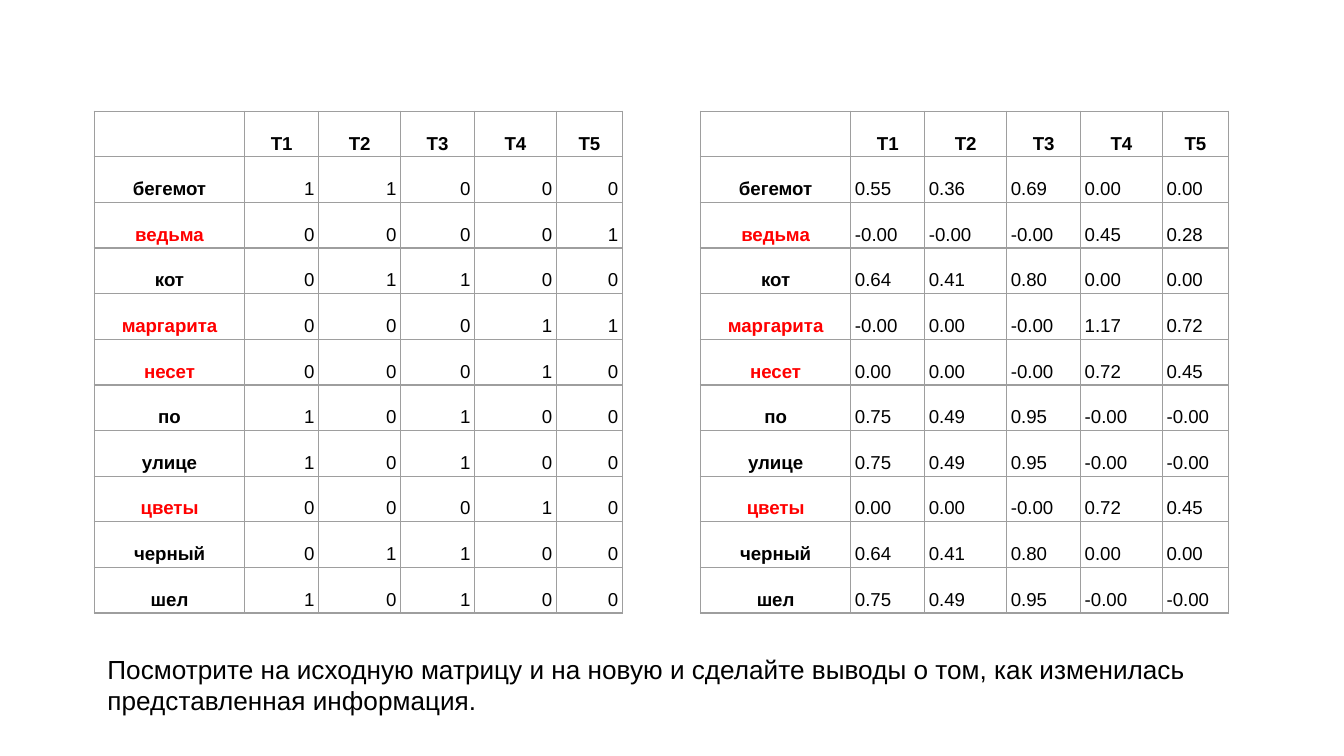
from lxml import etree
from pptx import Presentation
from pptx.dml.color import RGBColor
from pptx.enum.text import MSO_ANCHOR, PP_ALIGN
from pptx.oxml.ns import qn
from pptx.util import Pt

LEFT, CENTER, RIGHT = PP_ALIGN.LEFT, PP_ALIGN.CENTER, PP_ALIGN.RIGHT
TOP, BOTTOM = MSO_ANCHOR.TOP, MSO_ANCHOR.BOTTOM
FONT = "Arial"
BLACK, RED, WHITE, GREY = "000000", "FF0000", "FFFFFF", "9E9E9E"

COLUMN_WIDTHS = [80.6, 39.6, 43.9, 39.6, 43.9, 35.3]
HEADERS = ["", "T1", "T2", "T3", "T4", "T5"]
TERMS = ["бегемот", "ведьма", "кот", "маргарита", "несет",
         "по", "улице", "цветы", "черный", "шел"]
RED_TERMS = {"ведьма", "маргарита", "несет", "цветы"}
SOURCE_MATRIX = ["1 1 0 0 0", "0 0 0 0 1", "0 1 1 0 0", "0 0 0 1 1", "0 0 0 1 0",
                 "1 0 1 0 0", "1 0 1 0 0", "0 0 0 1 0", "0 1 1 0 0", "1 0 1 0 0"]
NEW_MATRIX = [
    "0.55 0.36 0.69 0.00 0.00",
    "-0.00 -0.00 -0.00 0.45 0.28",
    "0.64 0.41 0.80 0.00 0.00",
    "-0.00 0.00 -0.00 1.17 0.72",
    "0.00 0.00 -0.00 0.72 0.45",
    "0.75 0.49 0.95 -0.00 -0.00",
    "0.75 0.49 0.95 -0.00 -0.00",
    "0.00 0.00 -0.00 0.72 0.45",
    "0.64 0.41 0.80 0.00 0.00",
    "0.75 0.49 0.95 -0.00 -0.00",
]
QUESTION = ("Посмотрите на исходную матрицу и на новую и сделайте выводы о том, "
            "как изменилась представленная информация.")


def color(value):
    """Turn a hex string into a colour."""
    return RGBColor.from_string(value)


def write_text(text_frame, text, size=10, ink=BLACK, bold=False, align=LEFT, spacing=1.0):
    """Write one formatted paragraph into a text frame."""
    paragraph = text_frame.paragraphs[0]
    paragraph.alignment = align
    paragraph.line_spacing = spacing
    run = paragraph.add_run()
    run.text = text
    run.font.name = FONT
    run.font.size = Pt(size)
    run.font.bold = bold
    run.font.color.rgb = color(ink)


def style_cell(cell):
    """Give a cell its margins, anchor, thin grey borders and fill."""
    cell.margin_left = cell.margin_right = Pt(2.25)
    cell.margin_top = cell.margin_bottom = Pt(1.5)
    cell.vertical_anchor = BOTTOM
    properties = cell._tc.get_or_add_tcPr()
    for side in ("lnL", "lnR", "lnT", "lnB"):
        line = etree.SubElement(properties, qn(f"a:{side}"), w=str(Pt(0.75)))
        fill = etree.SubElement(line, qn("a:solidFill"))
        etree.SubElement(fill, qn("a:srgbClr"), val=GREY)
    cell.fill.solid()
    cell.fill.fore_color.rgb = color(WHITE)


def add_matrix(slide, left, top, width, height, matrix, align):
    """Add a term-by-text matrix as a table."""
    rows = [HEADERS] + [[term, *values.split()] for term, values in zip(TERMS, matrix)]
    table = slide.shapes.add_table(len(rows), len(HEADERS), Pt(left), Pt(top),
                                   Pt(width), Pt(height)).table
    table.first_row = table.horz_banding = False
    for column, column_width in zip(table.columns, COLUMN_WIDTHS):
        column.width = Pt(column_width * width / sum(COLUMN_WIDTHS))
    for row_index, values in enumerate(rows):
        table.rows[row_index].height = Pt(height / len(rows))
        for column_index, value in enumerate(values):
            cell = table.cell(row_index, column_index)
            style_cell(cell)
            label = row_index == 0 or column_index == 0
            write_text(cell.text_frame, value, bold=label, spacing=1.15,
                       ink=RED if value in RED_TERMS else BLACK,
                       align=CENTER if label else align)


def add_question(slide, left, top, width, height):
    """Add the question below the matrices."""
    text_frame = slide.shapes.add_textbox(Pt(left), Pt(top), Pt(width), Pt(height)).text_frame
    text_frame.word_wrap = True
    text_frame.vertical_anchor = TOP
    text_frame.margin_left = text_frame.margin_right = Pt(7.2)
    text_frame.margin_top = text_frame.margin_bottom = Pt(7.2)
    write_text(text_frame, QUESTION, size=14)


def main():
    """Build and save the presentation."""
    presentation = Presentation()
    presentation.slide_width, presentation.slide_height = Pt(720), Pt(405)
    slide = presentation.slides.add_slide(presentation.slide_layouts[6])
    add_matrix(slide, 50.5, 59.6, 282.9, 269, SOURCE_MATRIX, RIGHT)
    add_matrix(slide, 375.2, 59.6, 282.9, 269, NEW_MATRIX, LEFT)
    add_question(slide, 50.5, 342.7, 607.7, 36)
    presentation.save("out.pptx")


if __name__ == "__main__":
    main()
